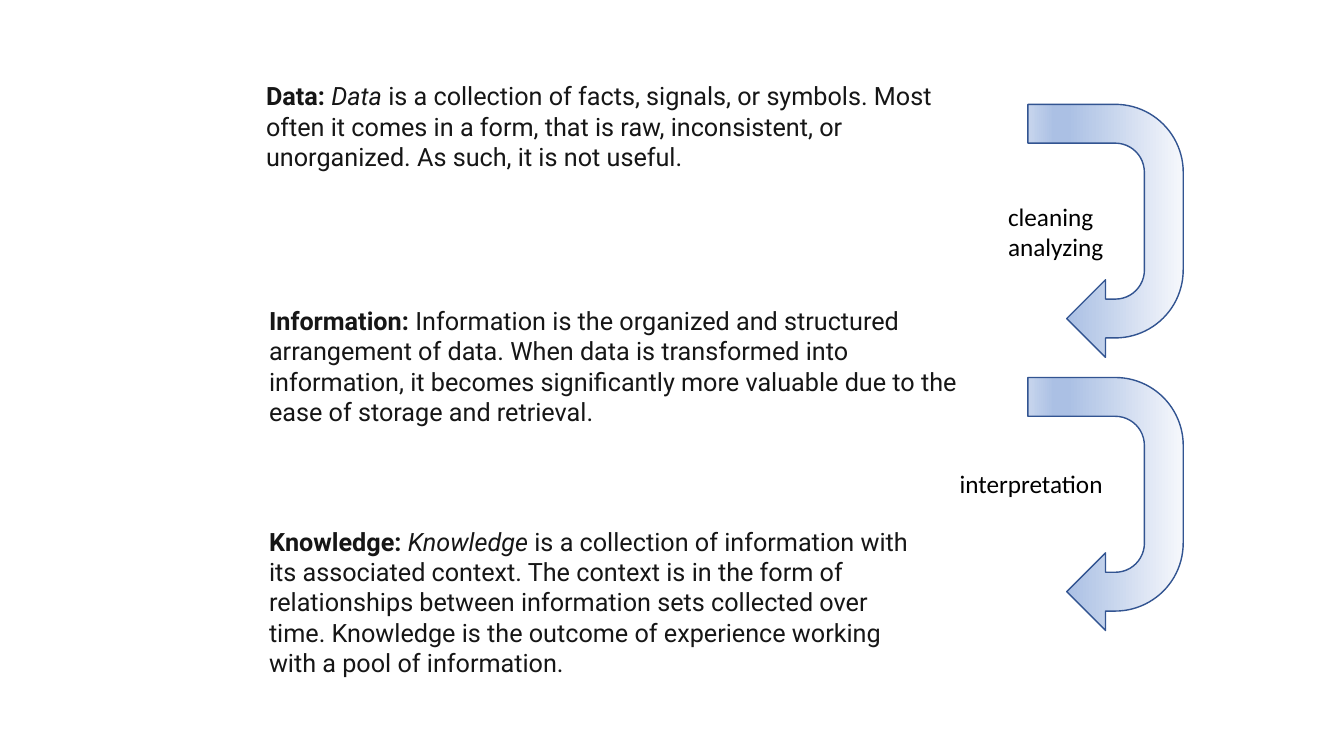
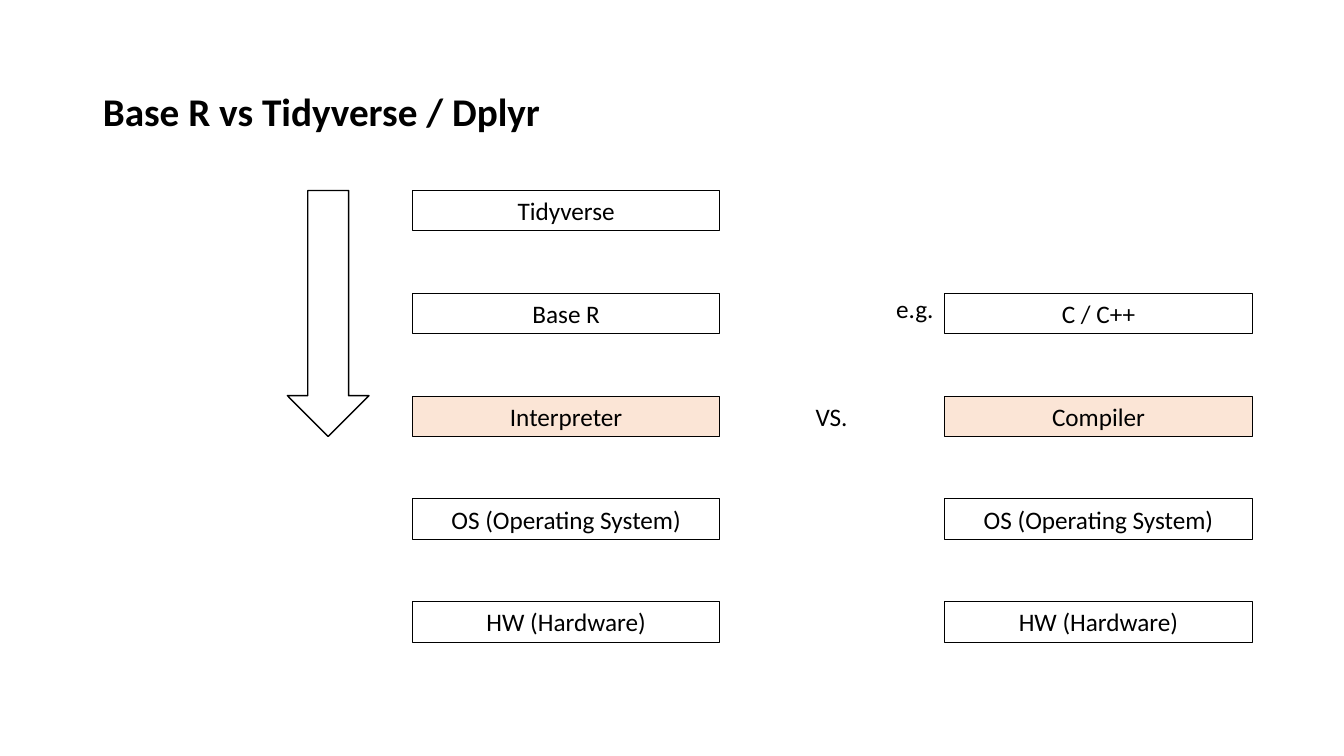
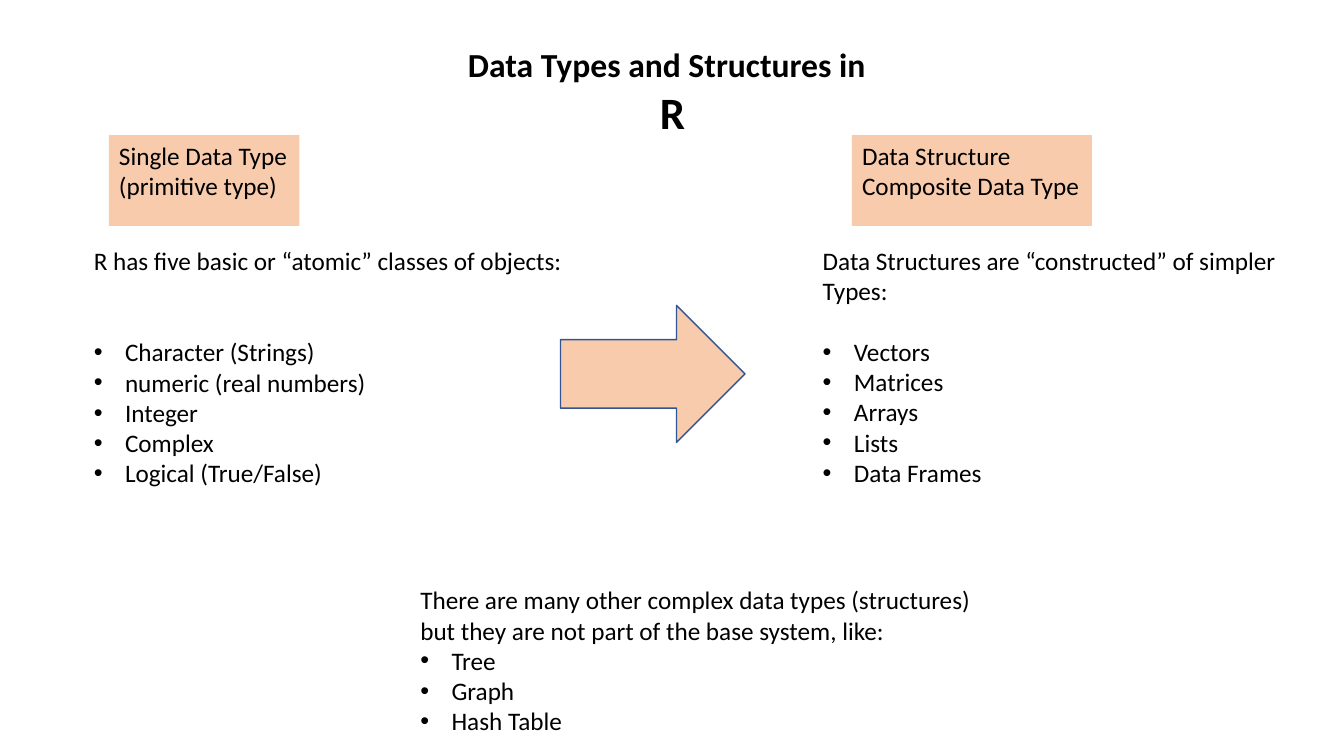
from dataclasses import dataclass

from lxml import etree
from pptx import Presentation
from pptx import util as u
from pptx.dml import color
from pptx.enum import shapes, text
from pptx.oxml import ns

BLACK = "000000"
INK = "161616"
BLUE = "325491"
PEACH = "F8CBAD"
PALE_PEACH = "FBE5D6"
TURN_STOPS = ((0, "F6F8FC"), (74, "ABC0E4"), (83, "ABC0E4"), (100, "C7D5ED"))
BODY_FONT = "Calibri"
DEFINITION_FONT = "Roboto"
LINE_POINTS = 22
LEFT = text.PP_ALIGN.LEFT
CENTER = text.PP_ALIGN.CENTER
TOP = text.MSO_ANCHOR.TOP
MIDDLE = text.MSO_ANCHOR.MIDDLE
FIT = text.MSO_AUTO_SIZE.SHAPE_TO_FIT_TEXT
FIXED = text.MSO_AUTO_SIZE.NONE


@dataclass(frozen=True)
class Area:
    left: float
    top: float
    width: float
    height: float

    def lengths(self) -> tuple:
        return tuple(u.Inches(side) for side in (self.left, self.top, self.width, self.height))


@dataclass(frozen=True)
class Span:
    words: str
    bold: bool = False
    italic: bool = False


@dataclass(frozen=True)
class Line:
    words: str = ""
    spans: tuple[Span, ...] = ()
    size: float = 18
    font: str = BODY_FONT
    ink: str = BLACK
    bold: bool = False
    align: text.PP_ALIGN = LEFT
    bullet: bool = False
    before: float = 0
    spacing: float = 1.0


@dataclass(frozen=True)
class Definition:
    area: Area
    spans: tuple[Span, ...]


@dataclass(frozen=True)
class Layer:
    name: str
    column: float
    row: int
    fill: str | None = None


@dataclass(frozen=True)
class TypeColumn:
    label_slot: int
    label_area: Area
    label: tuple[str, ...]
    list_slot: int
    list_area: Area
    intro: tuple[str, ...]
    items: tuple[str, ...]
    gap: float


def rgb(value: str) -> color.RGBColor:
    return color.RGBColor.from_string(value)


def place(shape, area: Area) -> None:
    shape.left, shape.top, shape.width, shape.height = area.lengths()


def paint(shape, fill: str | None, line: str | None = None, weight: float = 1) -> None:
    if fill:
        shape.fill.solid()
        shape.fill.fore_color.rgb = rgb(fill)
    else:
        shape.fill.background()
    if line:
        shape.line.color.rgb = rgb(line)
        shape.line.width = u.Pt(weight)
    else:
        shape.line.fill.background()


def set_bullet(para, bullet: bool) -> None:
    properties = para._p.get_or_add_pPr()
    indent = u.Inches(0.31) if bullet else 0
    properties.set("marL", str(indent))
    properties.set("indent", str(-indent))
    if bullet:
        etree.SubElement(properties, ns.qn("a:buFont"), typeface="Arial")
        etree.SubElement(properties, ns.qn("a:buChar"), char="•")
    else:
        etree.SubElement(properties, ns.qn("a:buNone"))


def write(shape, lines: list[Line], wrap: bool = False, anchor=TOP, size_mode=FIT) -> None:
    frame = shape.text_frame
    frame.word_wrap = wrap
    frame.auto_size = size_mode
    frame.vertical_anchor = anchor
    for number, line in enumerate(lines):
        para = frame.add_paragraph() if number else frame.paragraphs[0]
        para.alignment = line.align
        para.line_spacing = line.spacing
        para.space_before = u.Pt(line.before)
        set_bullet(para, line.bullet)
        para.font.size = u.Pt(line.size)
        para.font.name = line.font
        para.font.color.rgb = rgb(line.ink)
        if not line.spans:
            para.font.bold = line.bold
        for part in line.spans or (Span(line.words),):
            span = para.add_run()
            span.text = part.words
            if line.spans:
                span.font.bold = part.bold
                span.font.italic = part.italic


def add_text(page, area: Area, lines: list[Line], wrap: bool = False) -> None:
    box = page.shapes.add_textbox(*area.lengths())
    write(box, lines, wrap)


def add_preset(page, kind, area: Area, fill: str | None, line: str, weight: float = 1):
    shape = page.shapes.add_shape(kind, *area.lengths())
    shape.shadow.inherit = False
    paint(shape, fill, line, weight)
    return shape


def add_turn_arrow(page, area: Area) -> None:
    arrow = add_preset(page, shapes.MSO_SHAPE.U_TURN_ARROW, area, None, BLUE)
    arrow.rotation = 90
    arrow.fill.gradient()
    arrow.fill.gradient_angle = 270
    stops = arrow._element.spPr.find(ns.qn("a:gradFill")).find(ns.qn("a:gsLst"))
    for stop in list(stops):
        stops.remove(stop)
    for percent, value in TURN_STOPS:
        stop = etree.SubElement(stops, ns.qn("a:gs"), pos=str(percent * 1000))
        etree.SubElement(stop, ns.qn("a:srgbClr"), val=value)


def bulleted(intro: tuple[str, ...], items: tuple[str, ...], gap: float = 0) -> list[Line]:
    points = [Line(item, bullet=True, before=0 if number else gap)
              for number, item in enumerate(items)]
    return [Line(words) for words in intro] + points


def build_definitions(deck) -> None:
    page = deck.slides.add_slide(deck.slide_layouts[6])
    definitions = (
        Definition(Area(2.57, 5.17, 6.67, 1.31), (
            Span("Knowledge: ", bold=True),
            Span("Knowledge", italic=True),
            Span(" is a collection of information with its associated context. "
                 "The context is in the form of relationships between information sets "
                 "collected over time. Knowledge is the outcome of experience working "
                 "with a pool of information."))),
        Definition(Area(2.54, 0.75, 7.28, 1.01), (
            Span("Data: ", bold=True),
            Span("Data", italic=True),
            Span(" is a collection of facts, signals, or symbols. Most often it comes "
                 "in a form, that is raw, inconsistent, or unorganized. As such, it is "
                 "not useful."))),
        Definition(Area(2.57, 2.98, 7.25, 1.31), (
            Span("Information: ", bold=True),
            Span("Information is the organized and structured arrangement of data. When "
                 "data is transformed into information, it becomes significantly more "
                 "valuable due to the ease of storage and retrieval."))),
    )
    for definition in definitions:
        line = Line(spans=definition.spans, font=DEFINITION_FONT, ink=INK)
        add_text(page, definition.area, [line], wrap=True)
    for top in (1.52, 4.23):
        add_turn_arrow(page, Area(9.71, top, 2.51, 1.54))
    add_text(page, Area(9.9, 1.95, 1.16, 0.71), [Line("cleaning"), Line("analyzing")])
    add_text(page, Area(9.42, 4.6, 1.64, 0.4), [Line("interpretation")])


def build_layers(deck) -> None:
    page = deck.slides.add_slide(deck.slide_layouts[5])
    title = page.shapes.title
    place(title, Area(0.92, 0.4, 11.5, 1.45))
    write(title, [Line("Base R vs Tidyverse / Dplyr", size=28, bold=True, spacing=0.9)],
          wrap=True, anchor=MIDDLE, size_mode=FIXED)

    first_top, row_step = 1.89, 1.02
    interpreted, compiled = 4.09, 9.37
    layers = [
        Layer("Tidyverse", interpreted, 0),
        Layer("Base R", interpreted, 1),
        Layer("Interpreter", interpreted, 2, PALE_PEACH),
        Layer("C / C++", compiled, 1),
        Layer("Compiler", compiled, 2, PALE_PEACH),
    ]
    for column in (interpreted, compiled):
        layers += [Layer("OS (Operating System)", column, 3),
                   Layer("HW (Hardware)", column, 4)]
    for layer in layers:
        area = Area(layer.column, first_top + layer.row * row_step, 3.05, 0.4)
        box = add_preset(page, shapes.MSO_SHAPE.RECTANGLE, area, layer.fill, BLACK, 0.75)
        write(box, [Line(layer.name, align=CENTER)], wrap=True)

    add_preset(page, shapes.MSO_SHAPE.DOWN_ARROW, Area(2.85, first_top, 0.81, 2.44), None, BLACK)
    add_text(page, Area(7.99, 3.93, 0.52, 0.4), [Line("VS.")])
    add_text(page, Area(8.79, 2.86, 0.58, 0.4), [Line("e.g.")])


def build_types(deck) -> None:
    page = deck.slides.add_slide(deck.slide_layouts[4])
    title = page.shapes.title
    place(title, Area(4.54, 0.39, 4.26, 1.04))
    write(title, [Line("Data Types and Structures in", size=24, bold=True),
                  Line("R", size=32, bold=True, align=CENTER)])

    columns = (
        TypeColumn(1, Area(1.08, 1.34, 1.89, 0.71), ("Single Data Type", "(primitive type)"),
                   2, Area(0.83, 2.38, 4.9, 2.52),
                   ("R has five basic or “atomic” classes of objects:",),
                   ("Character (Strings)", "numeric (real numbers)", "Integer", "Complex",
                    "Logical (True/False)"), 2 * LINE_POINTS),
        TypeColumn(3, Area(8.45, 1.34, 2.38, 0.71), ("Data Structure", "Composite Data Type"),
                   4, Area(8.06, 2.38, 4.8, 2.52),
                   ("Data Structures are “constructed” of simpler", "Types:"),
                   ("Vectors", "Matrices", "Arrays", "Lists", "Data Frames"), LINE_POINTS),
    )
    slots = {box.placeholder_format.idx: box for box in page.placeholders}
    for column in columns:
        label = slots[column.label_slot]
        place(label, column.label_area)
        paint(label, PEACH)
        write(label, [Line(words) for words in column.label])
        body = slots[column.list_slot]
        place(body, column.list_area)
        write(body, bulleted(column.intro, column.items, column.gap))

    add_preset(page, shapes.MSO_SHAPE.RIGHT_ARROW, Area(5.56, 3.03, 1.83, 1.36), PEACH, BLUE)
    add_text(page, Area(4.07, 5.75, 5.78, 1.62), bulleted(
        ("There are many other complex data types (structures)",
         "but they are not part of the base system, like:"),
        ("Tree", "Graph", "Hash Table")))


def main() -> None:
    deck = Presentation()
    deck.slide_width = u.Inches(13.33)
    deck.slide_height = u.Inches(7.5)
    build_definitions(deck)
    build_layers(deck)
    build_types(deck)
    deck.save("out.pptx")


if __name__ == "__main__":
    main()
